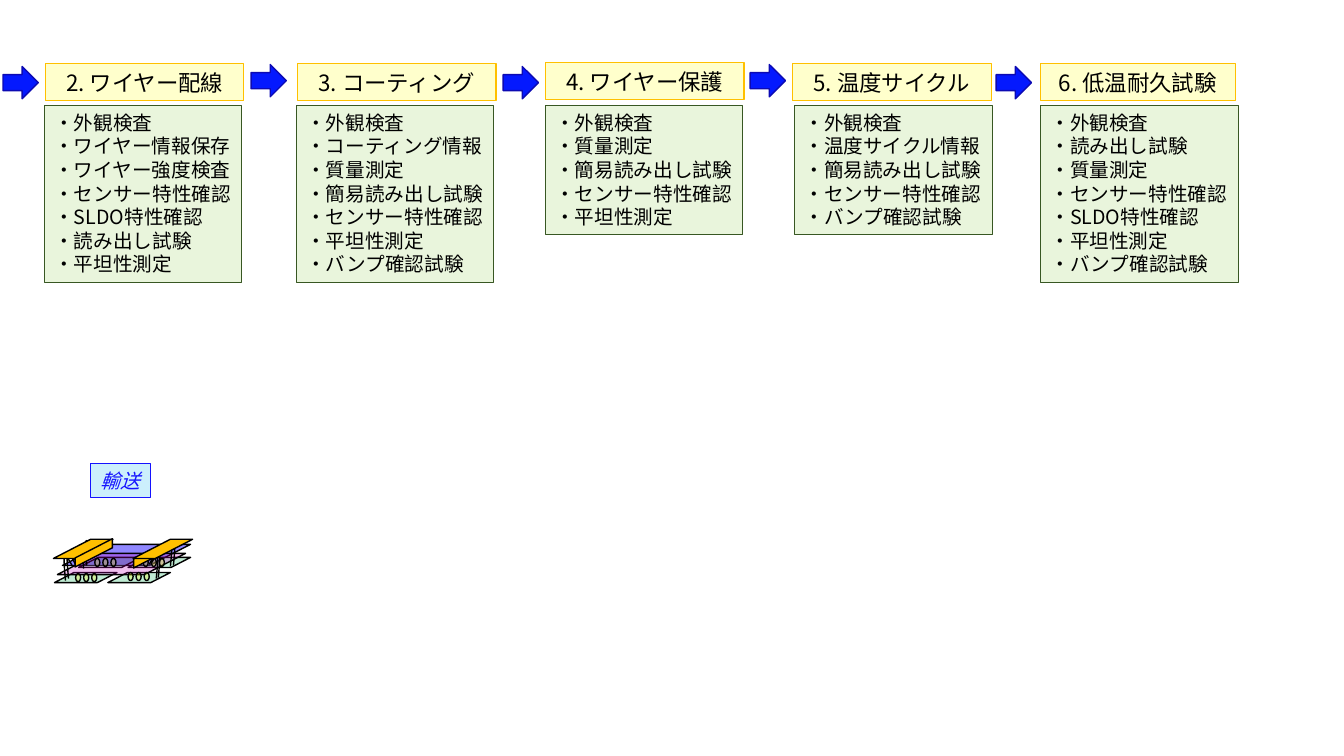
"""Build a process-flow slide with five steps, their checks and a module sketch."""
from lxml.etree import SubElement
from pptx import Presentation
from pptx.dml.color import RGBColor
from pptx.enum.shapes import MSO_SHAPE
from pptx.enum.text import MSO_ANCHOR, PP_ALIGN
from pptx.oxml.ns import qn
from pptx.util import Inches, Pt

FONT = "Noto Sans CJK JP"
COLORS = {
    "black": "000000", "yellow": "FFFF00", "gold": "FFC000", "lime": "92D050",
    "forest": "385723", "sky": "00B0F0", "ink": "1412FF", "arrow": "0419FE",
    "navy": "0C0AB3", "sensor": "2210FF", "chip": "00B050", "flex": "C400BC",
}
STEPS = [
    {"title": "2. ワイヤー配線", "left": 0.45, "top": 0.63, "width": 1.97,
     "list_left": 0.44, "arrow": (0.03, 0.66),
     "checks": ["外観検査", "ワイヤー情報保存", "ワイヤー強度検査", "センサー特性確認",
                "SLDO特性確認", "読み出し試験", "平坦性測定"]},
    {"title": "3. コーティング", "left": 2.95, "top": 0.63, "width": 1.97,
     "list_left": 2.94, "arrow": (2.49, 0.64),
     "checks": ["外観検査", "コーティング情報", "質量測定", "簡易読み出し試験",
                "センサー特性確認", "平坦性測定", "バンプ確認試験"]},
    {"title": "4. ワイヤー保護", "left": 5.41, "top": 0.62, "width": 1.97,
     "list_left": 5.41, "arrow": (4.99, 0.66),
     "checks": ["外観検査", "質量測定", "簡易読み出し試験", "センサー特性確認", "平坦性測定"]},
    {"title": "5. 温度サイクル", "left": 7.86, "top": 0.63, "width": 1.97,
     "list_left": 7.88, "arrow": (7.44, 0.64),
     "checks": ["外観検査", "温度サイクル情報", "簡易読み出し試験", "センサー特性確認",
                "バンプ確認試験"]},
    {"title": "6. 低温耐久試験", "left": 10.32, "top": 0.63, "width": 1.93,
     "list_left": 10.32, "arrow": (9.88, 0.66),
     "checks": ["外観検査", "読み出し試験", "質量測定", "センサー特性確認",
                "SLDO特性確認", "平坦性測定", "バンプ確認試験"]},
]
TRANSPORT = "輸送"
LINE_PITCH = 1.2
LIST_TOP, LIST_WIDTH, TEXT_INSET = 1.05, 1.96, 0.05
LIST_HEIGHTS = {5: 1.28, 7: 1.75}

SLANT = 1.94
CHIPS = [(0.54, 5.68), (1.07, 5.68), (0.78, 5.53), (1.27, 5.53)]
BUMP_ROWS = [(0.75, 5.69), (1.27, 5.68), (0.94, 5.54), (1.42, 5.54)]
BUMP_PITCH = 0.08
WIRE_BENDS = [(-0.01, -0.11), (-0.02, -0.22), (-0.01, -0.24),
              (0, -0.27), (0.03, -0.21), (0.07, -0.14)]
WIRES = [
    (0.83, 5.64, 1), (0.86, 5.61, 1), (0.68, 5.74, 1), (0.65, 5.76, 1),
    (1.69, 5.62, -1), (1.72, 5.61, -1), (1.55, 5.74, -1), (1.57, 5.73, -1),
]


def color(name):
    return RGBColor.from_string(COLORS[name])


def add_box(shapes, kind, box, fill, line, weight=1, alpha=None, slant=None):
    shape = shapes.add_shape(kind, *(Inches(length) for length in box))
    shape.shadow.inherit = False
    shape.fill.solid()
    shape.fill.fore_color.rgb = color(fill)
    if alpha:
        fill_color = shape._element.spPr.find(qn("a:solidFill"))[0]
        SubElement(fill_color, qn("a:alpha")).set("val", str(alpha * 1000))
    shape.line.color.rgb = color(line)
    shape.line.width = Pt(weight)
    if slant:
        shape.adjustments[0] = slant
    return shape


def write_text(shape, text, size=14, ink="black", italic=False, wrap=False,
               align=PP_ALIGN.CENTER, anchor=MSO_ANCHOR.MIDDLE):
    frame = shape.text_frame
    frame.text = text
    frame.word_wrap = wrap
    frame.vertical_anchor = anchor
    frame.margin_top = frame.margin_bottom = frame.margin_right = Inches(TEXT_INSET)
    frame.margin_left = Inches(2 * TEXT_INSET if wrap else TEXT_INSET)
    for paragraph in frame.paragraphs:
        paragraph.alignment = align
        paragraph.line_spacing = Pt(size * LINE_PITCH)
        for run in paragraph.runs:
            run.font.name = FONT
            run.font.size = Pt(size)
            run.font.italic = italic
            run.font.color.rgb = color(ink)
            SubElement(run.font._element, qn("a:ea")).set("typeface", FONT)


def add_heading(shapes, step):
    heading = add_box(shapes, MSO_SHAPE.RECTANGLE,
                      (step["left"], step["top"], step["width"], 0.37),
                      "yellow", "gold", weight=0.75, alpha=20)
    write_text(heading, step["title"], size=16)


def add_checks(shapes, step):
    add_box(shapes, MSO_SHAPE.RIGHT_ARROW, (*step["arrow"], 0.35, 0.32), "arrow", "navy")
    height = LIST_HEIGHTS[len(step["checks"])]
    checks = add_box(shapes, MSO_SHAPE.RECTANGLE,
                     (step["list_left"], LIST_TOP, LIST_WIDTH, height),
                     "lime", "forest", weight=0.75, alpha=20)
    write_text(checks, "\n".join("・" + check for check in step["checks"]), wrap=True,
               align=PP_ALIGN.LEFT, anchor=MSO_ANCHOR.TOP)


def add_wire(shapes, left, top, direction):
    builder = shapes.build_freeform(Inches(left), Inches(top))
    builder.add_line_segments(
        [(Inches(left + direction * across), Inches(top + down)) for across, down in WIRE_BENDS],
        close=False)
    wire = builder.convert_to_shape()
    outline = next(wire._element.iter(qn("a:path")))
    segments = outline.findall(qn("a:lnTo"))
    for first in range(0, len(segments), 3):
        curve = SubElement(outline, qn("a:cubicBezTo"))
        for segment in segments[first:first + 3]:
            curve.append(segment[0])
            outline.remove(segment)
    wire.shadow.inherit = False
    wire.fill.background()
    wire.line.color.rgb = color("black")
    wire.line.width = Pt(1)


def add_plate(shapes, box, fill, alpha=None):
    add_box(shapes, MSO_SHAPE.PARALLELOGRAM, box, fill, "black", alpha=alpha, slant=SLANT)


def add_side(shapes, box):
    side = add_box(shapes, MSO_SHAPE.PARALLELOGRAM, box, "gold", "black", slant=0.68)
    side.rotation = 270
    side._element.spPr.find(qn("a:xfrm")).set("flipV", "1")


def add_module(shapes):
    add_plate(shapes, (0.62, 5.4, 1.27, 0.21), "sensor", alpha=50)
    for left, top in CHIPS:
        add_plate(shapes, (left, top, 0.62, 0.1), "chip", alpha=25)
    add_plate(shapes, (0.57, 5.49, 1.27, 0.21), "flex", alpha=25)
    for left, top in BUMP_ROWS:
        for column in range(3):
            add_box(shapes, MSO_SHAPE.OVAL, (left + column * BUMP_PITCH, top, 0.05, 0.08),
                    "yellow", "black", alpha=25)
    for wire in WIRES:
        add_wire(shapes, *wire)
    add_plate(shapes, (0.53, 5.35, 0.59, 0.19), "gold")
    add_side(shapes, (0.79, 5.3, 0.28, 0.37))
    add_side(shapes, (1.37, 5.31, 0.28, 0.37))
    add_plate(shapes, (1.32, 5.35, 0.59, 0.19), "gold")


def main():
    presentation = Presentation()
    presentation.slide_width, presentation.slide_height = Inches(13.33), Inches(7.5)
    slide = presentation.slides.add_slide(presentation.slide_layouts[6])
    for step in STEPS:
        add_heading(slide.shapes, step)
    add_module(slide.shapes.add_group_shape().shapes)
    label = add_box(slide.shapes, MSO_SHAPE.RECTANGLE, (0.9, 4.6, 0.59, 0.34),
                    "sky", "ink", weight=0.75, alpha=20)
    write_text(label, TRANSPORT, ink="ink", italic=True)
    for step in STEPS:
        add_checks(slide.shapes, step)
    presentation.save("out.pptx")


if __name__ == "__main__":
    main()
